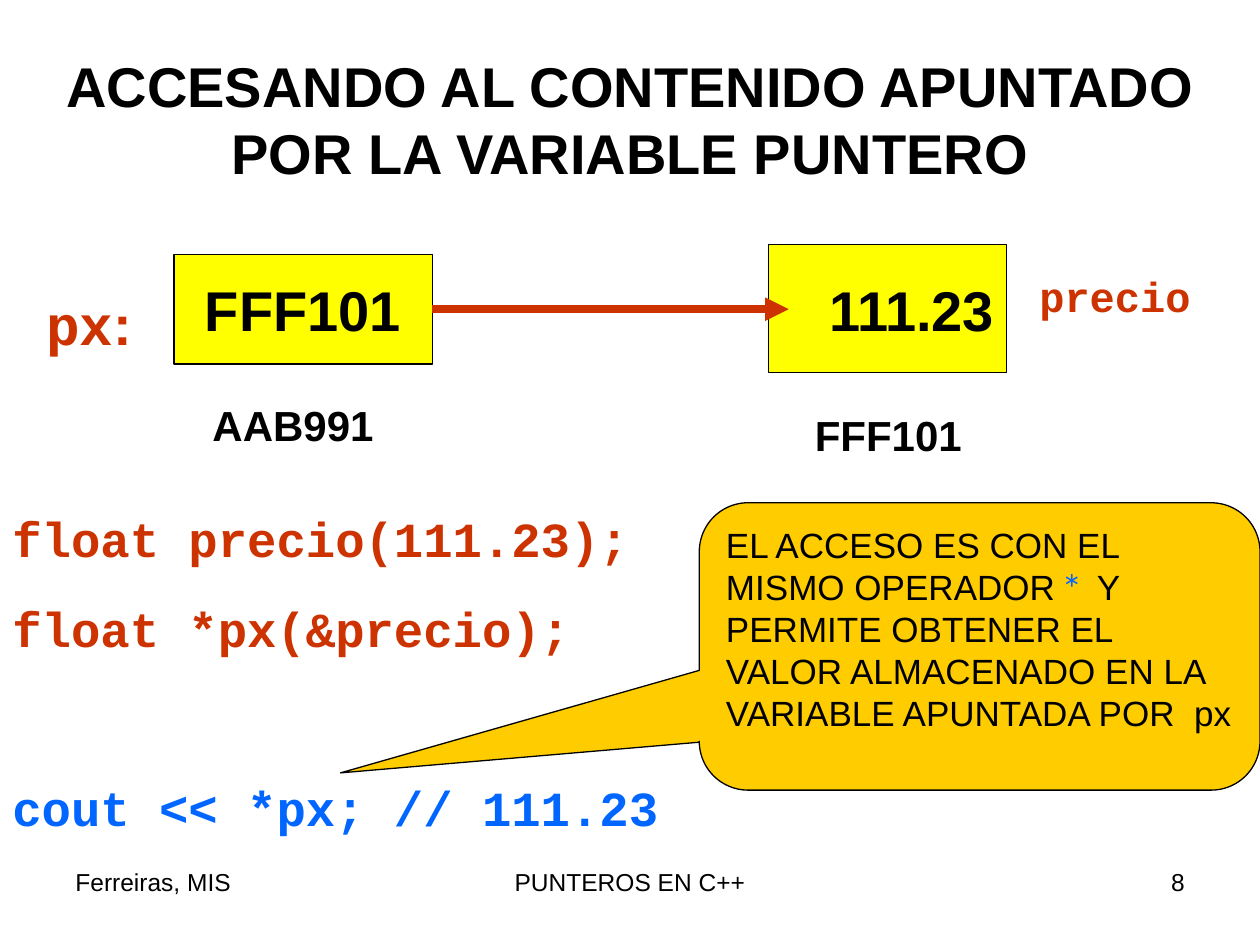
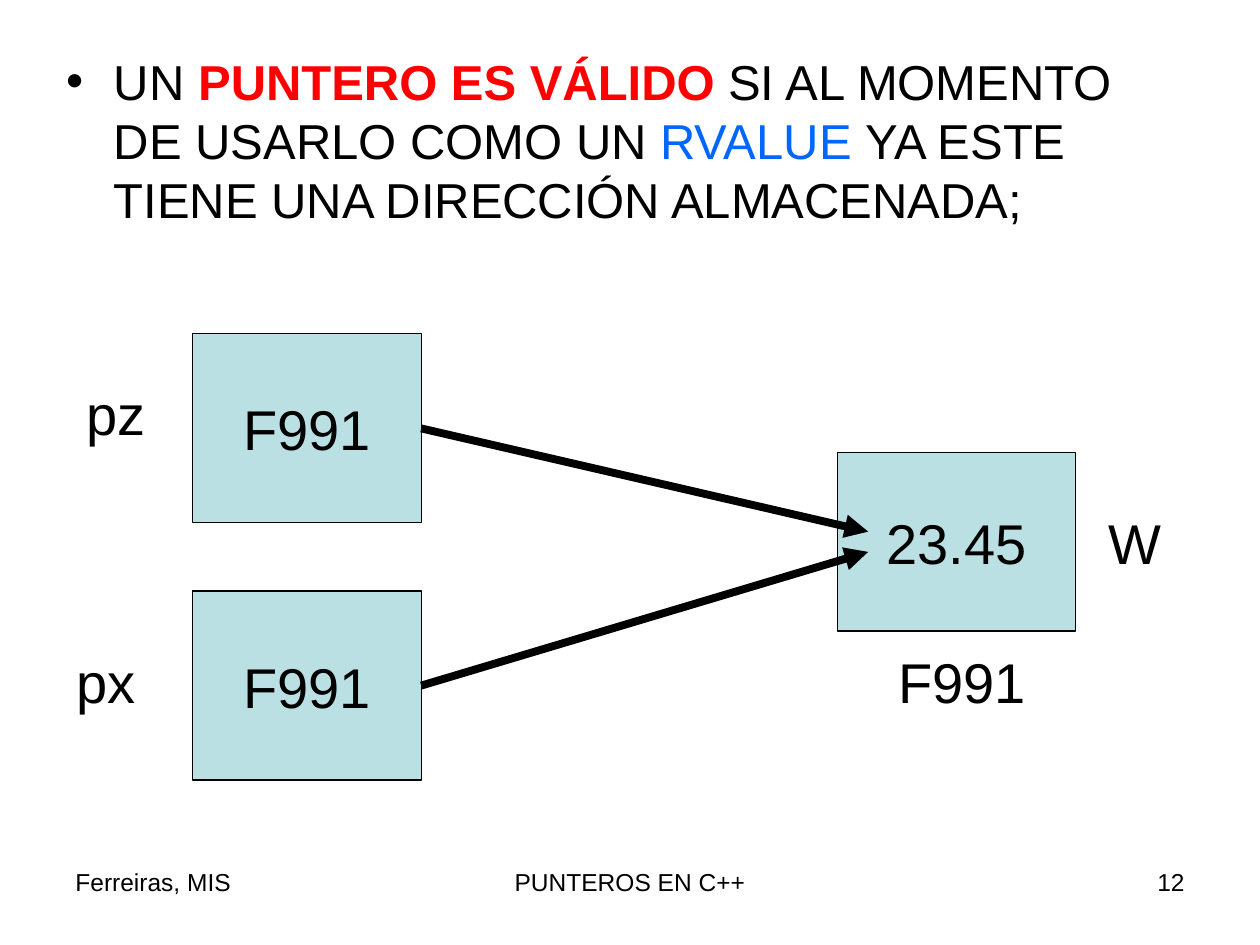
from lxml import etree
from pptx import Presentation
from pptx.dml.color import RGBColor
from pptx.enum.shapes import MSO_CONNECTOR, MSO_SHAPE
from pptx.enum.text import MSO_ANCHOR, PP_ALIGN
from pptx.oxml.ns import qn
from pptx.util import Pt

STRAIGHT = MSO_CONNECTOR.STRAIGHT
RECTANGLE = MSO_SHAPE.RECTANGLE
CALLOUT = MSO_SHAPE.ROUNDED_RECTANGULAR_CALLOUT
TOP, MIDDLE = MSO_ANCHOR.TOP, MSO_ANCHOR.MIDDLE
LEFT, CENTER, RIGHT = PP_ALIGN.LEFT, PP_ALIGN.CENTER, PP_ALIGN.RIGHT
RIGHT_SIDE = 3

COLORS = {
    "text": "000000",
    "code": "CC3300",
    "access": "0066FF",
    "emphasis": "FF0000",
    "yellow": "FFFF00",
    "callout": "FFCC00",
    "pale": "BBE0E3",
}
SANS, MONO, ACCENT = "Arial", "Courier New", "Montserrat"
SLIDE_WIDTH, SLIDE_HEIGHT = 720, 540


def color(name):
    return RGBColor.from_string(COLORS[name])


def set_font(font, size=None, name=None, ink=None, bold=None):
    if size:
        font.size = Pt(size)
    if name:
        font.name = name
    if ink:
        font.color.rgb = color(ink)
    if bold is not None:
        font.bold = bold


def write(paragraph, runs, size, align=LEFT, name=SANS, ink="text", bold=False):
    """Fill a paragraph with plain text or (text, font changes) pairs."""
    paragraph.alignment = align
    set_font(paragraph.font, size, name, ink, bold)
    if isinstance(runs, str):
        runs = [(runs, {})]
    for text, changes in runs:
        run = paragraph.add_run()
        run.text = text
        set_font(run.font, **changes)


def within(region, left, top, width, height):
    """Turn a box relative to a region into slide lengths."""
    return Pt(region[0] + left), Pt(region[1] + top), Pt(width), Pt(height)


def add_text(slide, region, offset, runs, size, **style):
    shape = slide.shapes.add_textbox(*within(region, *offset))
    shape.text_frame.word_wrap = True
    write(shape.text_frame.paragraphs[0], runs, size, **style)
    return shape


def add_box(slide, region, offset, fill, runs, size, kind=RECTANGLE,
            anchor=MIDDLE, wrap=False, **style):
    shape = slide.shapes.add_shape(kind, *within(region, *offset))
    shape.shadow.inherit = False
    shape.fill.solid()
    shape.fill.fore_color.rgb = color(fill)
    shape.line.color.rgb = color("text")
    shape.line.width = Pt(0.75)
    shape.text_frame.word_wrap = wrap
    shape.text_frame.vertical_anchor = anchor
    write(shape.text_frame.paragraphs[0], runs, size, **style)
    return shape


def add_pointer_arrow(slide, source, region, end, ink):
    """Draw an arrow from the right side of a box to a point in the region."""
    x, y = within(region, *end, 0, 0)[:2]
    arrow = slide.shapes.add_connector(STRAIGHT, x, y, x, y)
    arrow.begin_connect(source, RIGHT_SIDE)
    arrow.line.color.rgb = color(ink)
    arrow.line.width = Pt(4.5)
    line = arrow.line._get_or_add_ln()
    etree.SubElement(line, qn("a:tailEnd"), type="triangle")
    etree.SubElement(arrow._element.spPr, qn("a:effectLst"))


def add_footer(slide, region, number):
    width, height = region[2:]
    add_text(slide, region, (0, 0, 168, height), "Ferreiras, MIS", 14)
    add_text(slide, region, ((width - 228) / 2, 0, 228, height),
             "PUNTEROS EN C++", 14, align=CENTER)
    add_text(slide, region, (width - 168, 0, 168, height), str(number), 14,
             align=RIGHT)


def add_price_diagram(slide, region):
    # Pointer variable with its own address
    pointer = add_box(slide, region, (80, 5.7, 147.6, 62.6), "yellow", "FFF101",
                      32, align=CENTER, bold=True)
    add_text(slide, region, (85.7, 84.9, 124.6, 36), "AAB991", 24,
             align=CENTER, bold=True)
    add_text(slide, region, (0, 22.3, 65, 46), [("px", {"name": MONO}), (":", {})],
             32, ink="code", bold=True)
    # Variable it points to
    add_box(slide, region, (419.8, 0, 136.1, 73.4), "yellow", "111.23", 32,
            align=RIGHT, bold=True)
    add_text(slide, region, (437.1, 90.7, 102.2, 36), "FFF101", 24,
             align=CENTER, bold=True)
    add_text(slide, region, (567.4, 11.5, 113.8, 36), "precio", 24,
             name=MONO, ink="code", bold=True)
    add_pointer_arrow(slide, pointer, region, (431.3, 37), "code")


def add_code(slide, region):
    lines = [("float precio(111.23);", "code", 0),
             ("float *px(&precio);", "code", 17.5),
             ("cout << *px; // 111.23", "access", 68.5)]
    frame = slide.shapes.add_textbox(*within(region, 0, 0, *region[2:])).text_frame
    frame.word_wrap = True
    for index, (text, ink, gap) in enumerate(lines):
        paragraph = frame.add_paragraph() if index else frame.paragraphs[0]
        paragraph.space_before = Pt(gap)
        write(paragraph, text, 28, name=MONO, ink=ink, bold=True)


def add_access_callout(slide, region):
    runs = [("EL ACCESO ES CON EL MISMO OPERADOR ", {}),
            ("* ", {"name": ACCENT, "ink": "access"}),
            (" Y PERMITE OBTENER EL VALOR ALMACENADO EN LA VARIABLE "
             "APUNTADA POR  px", {})]
    callout = add_box(slide, region, (0, 0, *region[2:]), "callout", runs, 20,
                      kind=CALLOUT, anchor=TOP, wrap=True)
    for index, value in enumerate((-1.14, 0.44, 0.17)):
        callout.adjustments[index] = value


def add_definition(slide, region):
    runs = [("UN ", {}),
            ("PUNTERO ES VÁLIDO", {"ink": "emphasis", "bold": True}),
            (" SI AL MOMENTO DE USARLO COMO UN ", {}),
            ("RVALUE ", {"ink": "access"}),
            ("YA ESTE TIENE UNA DIRECCIÓN ALMACENADA;", {})]
    shape = slide.shapes.add_textbox(*within(region, 0, 0, *region[2:]))
    shape.text_frame.word_wrap = True
    paragraph = shape.text_frame.paragraphs[0]
    # Hanging bullet
    properties = paragraph._p.get_or_add_pPr()
    properties.set("marL", str(Pt(27)))
    properties.set("indent", str(Pt(-27)))
    bullet_color = etree.SubElement(properties, qn("a:buClr"))
    etree.SubElement(bullet_color, qn("a:srgbClr"), val=COLORS["text"])
    etree.SubElement(properties, qn("a:buFont"), typeface=SANS)
    etree.SubElement(properties, qn("a:buChar"), char="•")
    write(paragraph, runs, 28)


def add_shared_target_diagram(slide, region):
    # Variable both pointers refer to
    add_box(slide, region, (442, 67.7, 136.1, 102.2), "pale", "23.45", 32,
            align=CENTER)
    add_text(slide, region, (589.7, 96.5, 45.4, 46), "W", 32)
    add_text(slide, region, (453.6, 175.7, 118.8, 46), "F991", 32, align=CENTER)
    # Pointers: name, name position, box top, arrow end height
    pointers = [("pz", (5.8, 22.3), 0, 113),
                ("px", (0, 175.7), 147, 124.6)]
    for name, label, top, end in pointers:
        pointer = add_box(slide, region, (73.5, top, 130.5, 108), "pale", "F991",
                          32, align=CENTER)
        add_text(slide, region, (*label, 57, 46), name, 32)
        add_pointer_arrow(slide, pointer, region, (459.4, end), "text")


def build_access_slide(slide):
    add_price_diagram(slide, (19.4, 139.7, 681.2, 126.7))
    add_code(slide, (0, 287.3, 411, 194.4))
    add_text(slide, (0, 26, SLIDE_WIDTH, 84), (0, 0, SLIDE_WIDTH, 84),
             "ACCESANDO AL CONTENIDO APUNTADO POR LA VARIABLE PUNTERO", 32,
             align=CENTER, bold=True)
    add_access_callout(slide, (399.6, 287.3, 320.4, 164.2))


def build_valid_pointer_slide(slide):
    add_definition(slide, (31, 26, 648, 136))
    add_shared_target_diagram(slide, (36.7, 190.8, 635, 255))


def main():
    presentation = Presentation()
    presentation.slide_width = Pt(SLIDE_WIDTH)
    presentation.slide_height = Pt(SLIDE_HEIGHT)
    blank = presentation.slide_layouts[6]
    for build, number in ((build_access_slide, 8), (build_valid_pointer_slide, 12)):
        slide = presentation.slides.add_slide(blank)
        build(slide)
        add_footer(slide, (36, 491.8, SLIDE_WIDTH - 72, 37.4), number)
    presentation.save("out.pptx")


if __name__ == "__main__":
    main()
